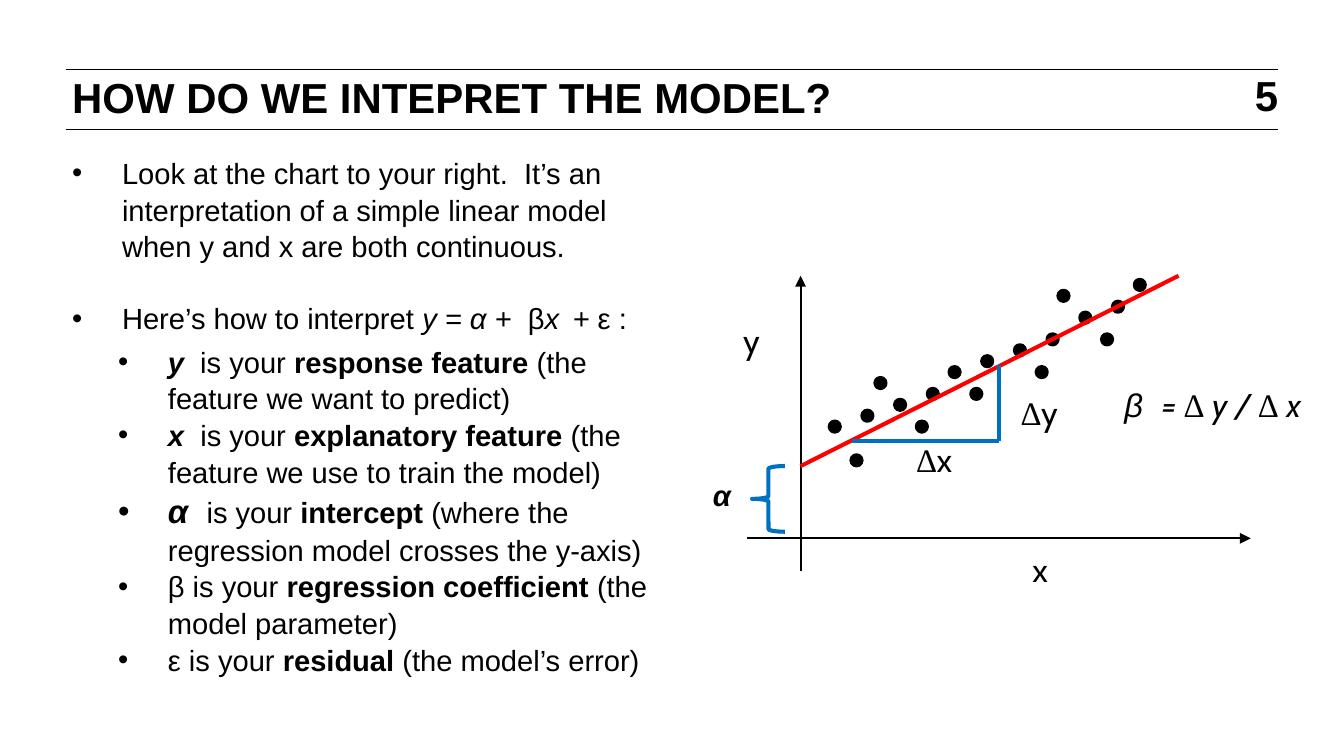
from lxml import etree
from pptx import Presentation
from pptx.dml.color import RGBColor
from pptx.enum.shapes import MSO_CONNECTOR, MSO_SHAPE
from pptx.enum.text import MSO_ANCHOR, MSO_AUTO_SIZE, PP_ALIGN
from pptx.oxml.ns import qn
from pptx.util import Inches, Pt

LEFT, CENTER, RIGHT = PP_ALIGN.LEFT, PP_ALIGN.CENTER, PP_ALIGN.RIGHT
TOP, MIDDLE = MSO_ANCHOR.TOP, MSO_ANCHOR.MIDDLE
NO_AUTOFIT = MSO_AUTO_SIZE.NONE
STRAIGHT = MSO_CONNECTOR.STRAIGHT
ELLIPSE, LEFT_BRACE = MSO_SHAPE.OVAL, MSO_SHAPE.LEFT_BRACE

COLORS = {"ink": "000000", "fit": "FF0000", "slope": "0070C0"}
SANS, LABEL, SYMBOL = "Arial", "Cabin", "Times New Roman"
COLUMNS, ROWS = 102.4, 57.5

BULLETS = [
    (0, 0, [("Look at the chart to your right.  It’s an interpretation of a simple "
             "linear model when y and x are both continuous.", {})]),
    (0, 19.3, [("Here’s how to interpret ", {}), ("y = α +  ", {"italic": True}), ("β", {}),
               ("x", {"italic": True, "spacing": 3}), (" + ", {"italic": True}), ("ε :", {})]),
    (1, 3.6, [("y", {"bold": True, "italic": True}), ("  is your ", {}),
              ("response feature ", {"bold": True}), ("(the feature we want to predict)", {})]),
    (1, 0, [("x  ", {"bold": True, "italic": True}), ("is your ", {}),
            ("explanatory feature ", {"bold": True}),
            ("(the feature we use to train the model)", {})]),
    (1, 0, [("α  ", {"size": 18, "bold": True, "italic": True}), ("is your ", {}),
            ("intercept ", {"bold": True}),
            ("(where the regression model crosses the y-axis)", {})]),
    (1, 0, [("β is your ", {}), ("regression coefficient ", {"bold": True}),
            ("(the model parameter)", {})]),
    (1, 0, [("ε is your ", {}), ("residual ", {"bold": True}), ("(the model’s error)", {})]),
]

DOT_ORIGIN, DOT_PITCH, DOT_SIZE = (63.2, 21.3), 0.83, 0.8
DOTS = [(0, 13), (2, 16.1), (3, 12), (6, 11), (8, 13), (9, 10), (11, 8), (13, 10), (14, 7),
        (17, 6), (19, 8), (20, 5), (4.2, 9), (23, 3), (25, 5), (26, 2), (28, 0), (21, 1)]

SLOPE_FORMULA = [("β  ", {"italic": True}), ("= ", {"font": LABEL, "italic": True}),
                 ("∆ ", {"font": SYMBOL}), ("y / ", {"font": LABEL, "italic": True}),
                 ("∆ ", {"font": SYMBOL}), ("x", {"font": LABEL, "italic": True})]


class SlideBuilder:
    def __init__(self, presentation):
        self.slide = presentation.slides.add_slide(presentation.slide_layouts[1])
        self.column = presentation.slide_width / COLUMNS
        self.row = presentation.slide_height / ROWS

    def box(self, left, top, width, height):
        return (round(left * self.column), round(top * self.row),
                round(width * self.column), round(height * self.row))

    def move(self, shape, area):
        shape.left, shape.top, shape.width, shape.height = self.box(*area)
        frame = shape.text_frame
        frame.word_wrap, frame.auto_size, frame.vertical_anchor = True, NO_AUTOFIT, TOP
        return frame

    def add_runs(self, paragraph, runs, size, align):
        paragraph.alignment = align
        for text, style in runs:
            run = paragraph.add_run()
            run.text = text
            font = run.font
            font.name = style.get("font", SANS)
            font.size = Pt(style.get("size", size))
            font.bold = style.get("bold", False)
            font.italic = style.get("italic", False)
            font.color.rgb = RGBColor.from_string(COLORS["ink"])
            if "spacing" in style:
                run._r.get_or_add_rPr().set("spc", str(style["spacing"] * 100))

    def title(self, area, text):
        paragraph = self.move(self.slide.shapes.title, area).paragraphs[0]
        paragraph.line_spacing = Pt(24.5)
        self.add_runs(paragraph, [(text, {"bold": True})], 23, LEFT)

    def bullets(self, area, items):
        frame = self.move(self.slide.placeholders[1], area)
        for index, (level, gap, runs) in enumerate(items):
            paragraph = frame.paragraphs[0] if index == 0 else frame.add_paragraph()
            paragraph.level = level
            paragraph.line_spacing = 1.05
            paragraph.space_before, paragraph.space_after = Pt(gap), Pt(0)
            self.add_runs(paragraph, runs, 16, LEFT)
            properties = paragraph._p.get_or_add_pPr()
            properties.set("marL", str(Inches((0.38, 0.73)[level])))
            properties.set("indent", str(Inches(-0.38)))
            etree.SubElement(properties, qn("a:buChar")).set("char", "•")

    def label(self, area, runs, size=18, wrap=True):
        frame = self.slide.shapes.add_textbox(*self.box(*area)).text_frame
        frame.word_wrap = wrap
        self.add_runs(frame.paragraphs[0], runs, size, CENTER)

    def page_number(self, area, text):
        frame = self.slide.shapes.add_textbox(*self.box(*area)).text_frame
        frame.word_wrap, frame.vertical_anchor = False, MIDDLE
        frame.margin_left, frame.margin_right = Inches(0.07), 0
        frame.margin_top = frame.margin_bottom = Inches(0.04)
        paragraph = frame.paragraphs[0]
        paragraph.line_spacing = Pt(23)
        self.add_runs(paragraph, [(text, {"bold": True})], 23, RIGHT)

    def line(self, start, end, color="ink", width=2.25, arrow=None):
        points = self.box(*start, *end)
        connector = self.slide.shapes.add_connector(STRAIGHT, *points)
        connector.line.color.rgb = RGBColor.from_string(COLORS[color])
        connector.line.width = Pt(width)
        properties = connector._element.spPr
        if arrow:
            outline = properties.find(qn("a:ln"))
            etree.SubElement(outline, qn(f"a:{arrow}")).set("type", "triangle")
        etree.SubElement(properties, qn("a:effectLst"))

    def shape(self, kind, area, color, width, filled=False):
        shape = self.slide.shapes.add_shape(kind, *self.box(*area))
        shape.shadow.inherit = False
        shape.line.color.rgb = RGBColor.from_string(COLORS[color])
        shape.line.width = Pt(width)
        if filled:
            shape.fill.solid()
            shape.fill.fore_color.rgb = RGBColor.from_string(COLORS[color])
        else:
            shape.fill.background()


def main():
    presentation = Presentation()
    presentation.slide_width, presentation.slide_height = Inches(10.24), Inches(5.75)
    builder = SlideBuilder(presentation)

    for row in (5.3, 9.9):
        builder.line((5, row), (97.4, row), width=0.5)
    builder.title((4.5, 5.4, 70, 3.3), "HOW DO WE INTEPRET THE MODEL?")
    builder.page_number((94.6, 5.8, 2.8, 3.4), "5")
    builder.bullets((4.5, 11.2, 48.3, 45), BULLETS)

    builder.line((61, 21), (61, 43.5), width=1, arrow="headEnd")
    builder.line((56.9, 41), (95.3, 41), width=1, arrow="tailEnd")
    for across, down in DOTS:
        left = DOT_ORIGIN[0] + across * DOT_PITCH
        top = DOT_ORIGIN[1] + down * DOT_PITCH
        builder.shape(ELLIPSE, (left, top, DOT_SIZE, DOT_SIZE), "ink", 2, filled=True)

    for name, left, top in (("x", 77.4, 41.4), ("y", 55.4, 23.9)):
        builder.label((left, top, 3.7, 4), [(name, {"font": LABEL})])
    builder.line((89.8, 21), (61, 35.5), "fit")
    builder.shape(LEFT_BRACE, (57.3, 35.5, 2.5, 5), "slope", 2.25)
    builder.label((53.3, 35.9, 3.4, 3.7), [("α", {"bold": True, "italic": True})], 16, False)
    builder.line((76.1, 27.8), (76.1, 33.6), "slope")
    builder.line((64.9, 33.6), (76.1, 33.6), "slope")
    builder.label((84.5, 28.8, 15.8, 4), SLOPE_FORMULA, wrap=False)
    for name, left, top in (("x", 68.4, 33), ("y", 76.4, 29.4)):
        builder.label((left, top, 5.6, 4), [("∆", {"font": SYMBOL}), (name, {"font": LABEL})])

    presentation.save("out.pptx")


if __name__ == "__main__":
    main()
